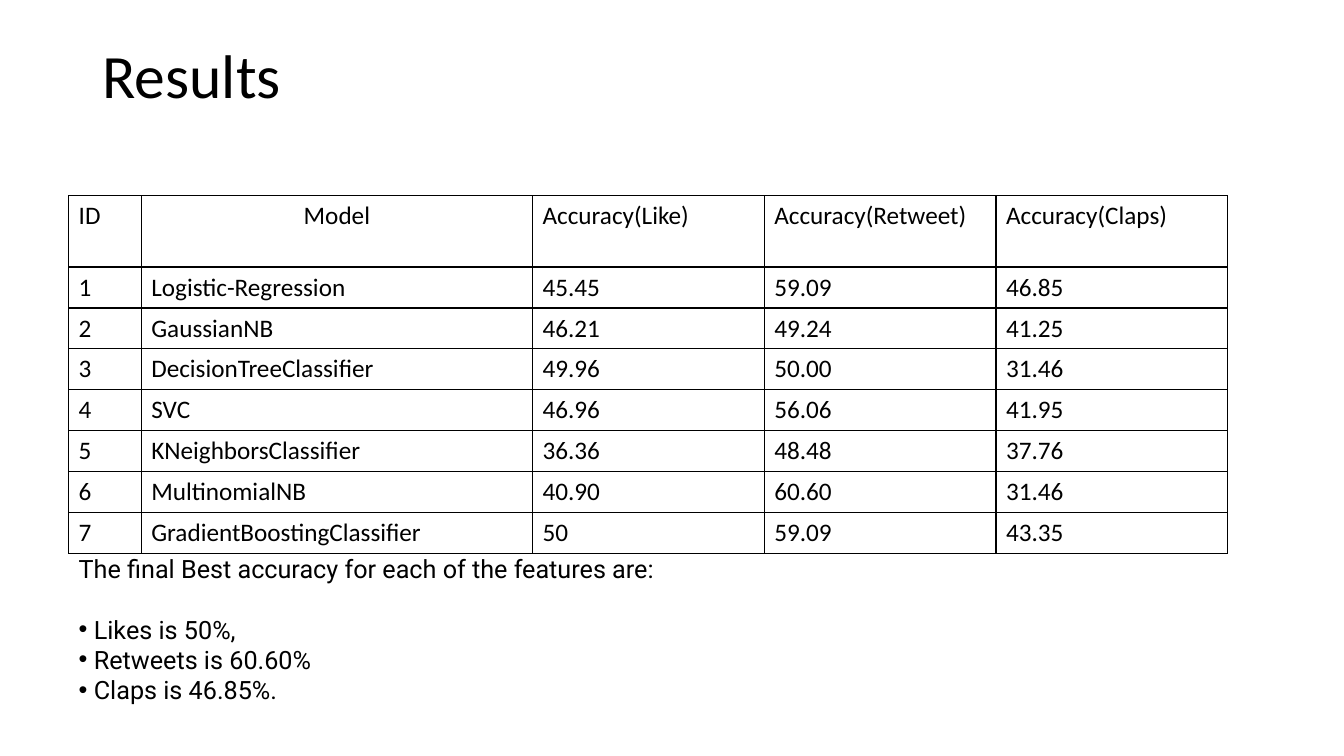
from pptx import Presentation as Deck
from pptx.dml.color import RGBColor as Rgb
from pptx.enum.text import MSO_ANCHOR as Anchor, MSO_AUTO_SIZE as Fit, PP_ALIGN as Align
from pptx.oxml import parse_xml as make
from pptx.oxml.ns import nsdecls as names
from pptx.util import Cm, Pt

BLACK = Rgb(0, 0, 0)
HEAD = ["ID", "Model", "Accuracy(Like)", "Accuracy(Retweet)", "Accuracy(Claps)"]
SCORES = [
    ("Logistic-Regression", "45.45", "59.09", "46.85"),
    ("GaussianNB", "46.21", "49.24", "41.25"),
    ("DecisionTreeClassifier", "49.96", "50.00", "31.46"),
    ("SVC", "46.96", "56.06", "41.95"),
    ("KNeighborsClassifier", "36.36", "48.48", "37.76"),
    ("MultinomialNB", "40.90", "60.60", "31.46"),
    ("GradientBoostingClassifier", "50", "59.09", "43.35"),
]
LEAD = "The final Best accuracy for each of the features are:"
BEST = ["Likes is 50%,", "Retweets is 60.60%", "Claps is 46.85%."]


def apply(item, form):
    for key, value in form.items():
        setattr(item, key, value)


class Page:
    body = {"name": "Calibri", "size": Pt(18), "bold": False}
    title = {"name": "Calibri", "size": Pt(44)}
    note = {"name": "Roboto", "size": Pt(18)}
    plain = {"line_spacing": 1.0, "space_before": Pt(0), "space_after": Pt(0)}

    def __init__(self, slide):
        self.slide = slide

    def set_text(self, para, text, font, **form):
        para.text = text
        apply(para.font, font)
        para.font.color.rgb = BLACK
        apply(para, {"alignment": Align.LEFT, **form})

    def place(self, shape, box, anchor=Anchor.TOP):
        apply(shape, dict(zip(("left", "top", "width", "height"), map(Cm, box))))
        frame = shape.text_frame
        apply(frame, {"word_wrap": True, "auto_size": Fit.NONE, "vertical_anchor": anchor})
        return frame

    def add_title(self, text, box):
        frame = self.place(self.slide.shapes.title, box)
        self.set_text(frame.paragraphs[0], text, self.title, line_spacing=0.9)

    def add_list(self, lead, items, box):
        frame = self.place(self.slide.placeholders[1], box)
        for spot, text in enumerate([lead, *items]):
            para = frame.add_paragraph() if spot else frame.paragraphs[0]
            gap = Pt(0) if spot else Pt(21.5)
            self.set_text(para, text, self.note, **{**self.plain, "space_after": gap})
            self.mark(para, Cm(0.38) if spot else 0)

    def mark(self, para, dent):
        props = para._p.get_or_add_pPr()
        props.set("marL", str(int(dent)))
        props.set("indent", str(-int(dent)))
        bullet = ['buFont {} typeface="Arial"', 'buChar {} char="•"'] if dent else ["buNone {}"]
        spot = len(props.xpath("a:lnSpc | a:spcBef | a:spcAft"))
        for step, tag in enumerate(bullet):
            props.insert(spot + step, make(f'<a:{tag.format(names("a"))}/>'))

    def border(self, cell):
        props = cell._tc.get_or_add_tcPr()
        for spot, side in enumerate("LRTB"):
            props.insert(spot, make(
                f'<a:ln{side} {names("a")} w="{int(Pt(1))}"><a:solidFill>'
                f'<a:srgbClr val="{BLACK}"/></a:solidFill></a:ln{side}>'))

    def add_table(self, rows, spot, wides, highs):
        frame = self.slide.shapes.add_table(
            len(rows), len(wides), *map(Cm, (*spot, sum(wides), sum(highs))))
        table = frame.table
        apply(table, {"first_row": False, "horz_banding": False})
        for col, wide in zip(table.columns, wides):
            col.width = Cm(wide)
        for row, high, texts in zip(table.rows, highs, rows):
            row.height = Cm(high)
            for cell, text in zip(row.cells, texts):
                side = Align.CENTER if text == "Model" else Align.LEFT
                self.set_text(cell.text_frame.paragraphs[0], text, self.body, alignment=side)
                cell.fill.background()
                self.border(cell)


deck = Deck()
apply(deck, {"slide_width": Cm(33.87), "slide_height": Cm(19.05)})
page = Page(deck.slides.add_slide(deck.slide_layouts[1]))
page.add_title("Results", (2.33, 1.01, 29.21, 3.68))
rows = [HEAD] + [(str(rank), *score) for rank, score in enumerate(SCORES, 1)]
page.add_table(rows, (1.73, 4.93), [1.83, 9.86] + [5.84] * 3, [1.8] + [1.03] * len(SCORES))
page.add_list(LEAD, BEST, (1.73, 13.82, 23.72, 4.11))
deck.save("out.pptx")
